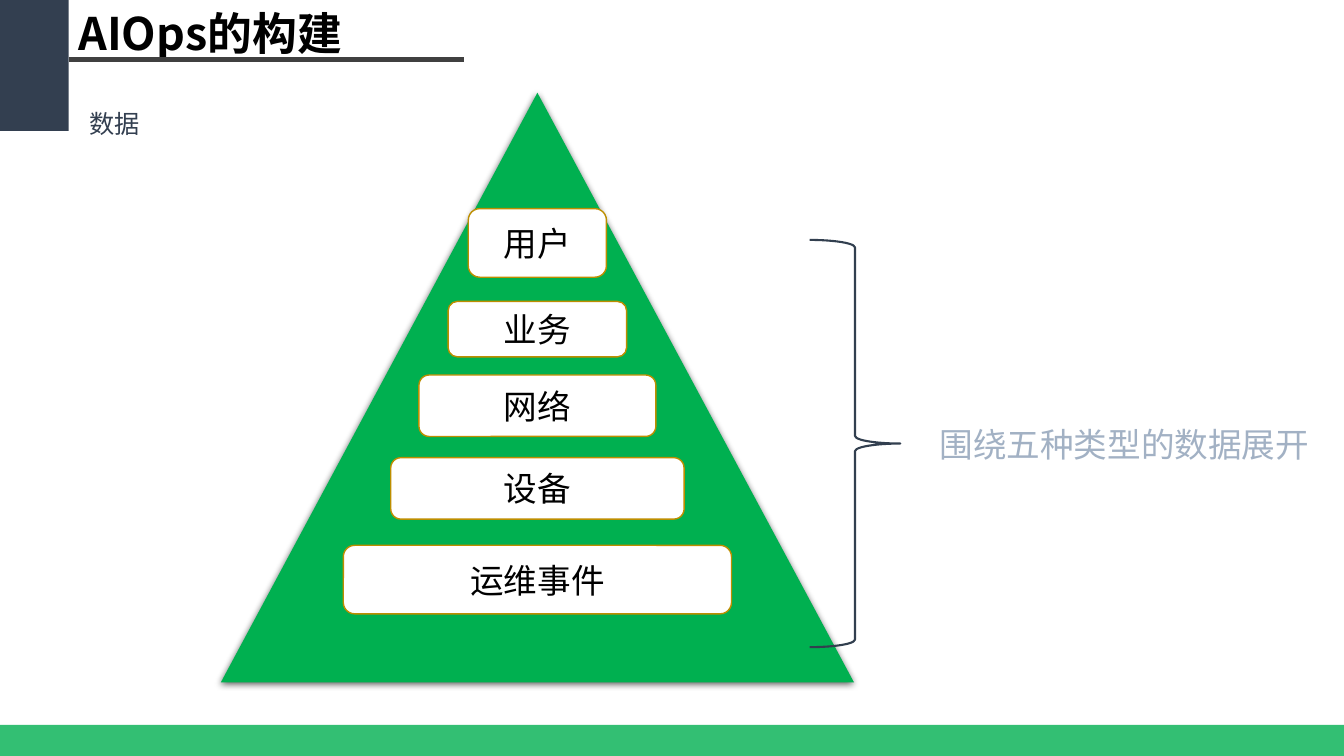
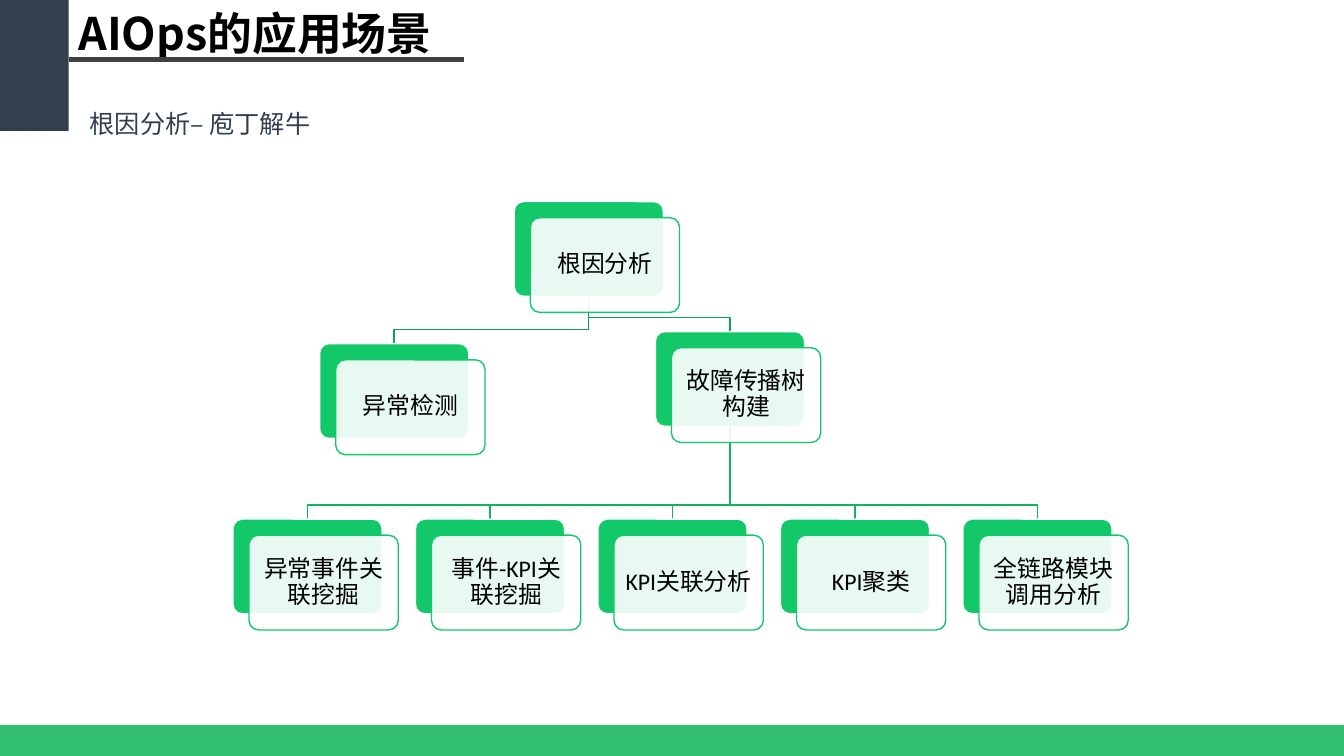
from lxml.etree import SubElement
from pptx import Presentation
from pptx.dml.color import RGBColor
from pptx.enum.shapes import MSO_CONNECTOR, MSO_SHAPE as SHAPE
from pptx.enum.text import MSO_ANCHOR as ANCHOR, PP_ALIGN as ALIGN
from pptx.oxml.ns import qn
from pptx.util import Inches, Pt

CJK, LATIN = "Noto Sans CJK SC", "Calibri"
BLACK, WHITE = "000000", "FFFFFF"
NAVY, SLATE, PALE_BLUE = "333F50", "323F4F", "A2B1C4"
GREEN, CARD_GREEN = "00B050", "12C869"
RULE_GRAY, GOLD = "404040", "BD8E00"
BRANCH_TOP, BRANCH_LEAF = "0EA054", "10B65F"

CARD_W, CARD_H, CARD_SHIFT = 1.48, 0.94, 0.16
BRANCH_DROP = 0.14


def rgb(color):
    return RGBColor.from_string(color)


def set_fill(sp, color, alpha=None):
    """Fill a shape; alpha is the opacity in percent."""
    if color is None:
        sp.fill.background()
        return
    sp.fill.solid()
    sp.fill.fore_color.rgb = rgb(color)
    if alpha is not None:
        clr = sp._element.spPr.find(qn("a:solidFill")).find(qn("a:srgbClr"))
        SubElement(clr, qn("a:alpha"), val=str(alpha * 1000))


def set_line(sp, color, width=1):
    if color is None:
        sp.line.fill.background()
        return
    sp.line.color.rgb = rgb(color)
    sp.line.width = Pt(width)


def add_shape(s, kind, x, y, w, h, fill=None, line=None, width=1, alpha=None):
    sp = s.shapes.add_shape(kind, Inches(x), Inches(y), Inches(w), Inches(h))
    sp.shadow.inherit = False
    set_fill(sp, fill, alpha)
    set_line(sp, line, width)
    return sp


def write(sp, text, size, color=BLACK, font=CJK, bold=False, align=ALIGN.LEFT):
    tf = sp.text_frame
    p = tf.paragraphs[0]
    p.text = text
    p.alignment = align
    p.font.size = Pt(size)
    p.font.bold = bold
    p.font.name = font
    p.font.color.rgb = rgb(color)
    SubElement(p._p.pPr.find(qn("a:defRPr")), qn("a:ea"), typeface=CJK)
    return p


def add_text(s, x, y, w, h, text, size, wrap=True, **style):
    sp = s.shapes.add_textbox(Inches(x), Inches(y), Inches(w), Inches(h))
    sp.text_frame.word_wrap = wrap
    write(sp, text, size, **style)


def add_drop_shadow(sp):
    effects = sp._element.spPr.find(qn("a:effectLst"))
    shadow = SubElement(effects, qn("a:outerShdw"), blurRad=str(Pt(4.5)),
                        dist=str(Pt(1.5)), dir="5400000", rotWithShape="0")
    clr = SubElement(shadow, qn("a:srgbClr"), val=BLACK)
    SubElement(clr, qn("a:alpha"), val="63000")


def add_rule(s, x1, x2, y):
    line = s.shapes.add_connector(MSO_CONNECTOR.STRAIGHT, Inches(x1), Inches(y),
                                  Inches(x2), Inches(y))
    set_line(line, RULE_GRAY, 3)
    SubElement(line._element.spPr, qn("a:effectLst"))


def add_base_slide(prs, title, subtitle):
    """Add a slide with the corner block, title, rule, footer band and subtitle."""
    s = prs.slides.add_slide(prs.slide_layouts[6])
    add_shape(s, SHAPE.RECTANGLE, 0, 0, 0.68, 1.3, NAVY)
    add_text(s, 0.68, 0.01, 3.92, 0.64, title, 32, bold=True)
    add_rule(s, 0.68, 4.6, 0.59)
    add_shape(s, SHAPE.RECTANGLE, 0, 7.19, 13.33, 0.31, GREEN, alpha=80)
    add_text(s, 0.79, 1.03, 4.31, 0.4, subtitle, 18, color=NAVY, font=LATIN)
    return s


def add_level(s, center, y, w, h, text):
    sp = add_shape(s, SHAPE.FLOWCHART_ALTERNATE_PROCESS, center - w / 2, y, w, h,
                   WHITE, GOLD)
    sp.text_frame.vertical_anchor = ANCHOR.MIDDLE
    write(sp, text, 24, align=ALIGN.CENTER)


def add_card(s, x, y, text):
    """Add a green card with a translucent labelled card shifted over it."""
    back = add_shape(s, SHAPE.ROUNDED_RECTANGLE, x, y, CARD_W, CARD_H,
                     CARD_GREEN, WHITE)
    front = add_shape(s, SHAPE.ROUNDED_RECTANGLE, x + CARD_SHIFT, y + CARD_SHIFT,
                      CARD_W, CARD_H, WHITE, CARD_GREEN, alpha=90)
    for sp in (back, front):
        sp.adjustments[0] = 0.1
    tf = front.text_frame
    tf.word_wrap = True
    tf.vertical_anchor = ANCHOR.MIDDLE
    tf.margin_left = tf.margin_right = Inches(0.07)
    tf.margin_top = tf.margin_bottom = Inches(0.07)
    p = write(front, text, 17, font=LATIN, align=ALIGN.CENTER)
    p.line_spacing = 0.9


def add_branch(s, parent, child, color):
    """Draw a bent line from the bottom of one card to the top of another."""
    x1, y1 = parent[0] + CARD_W / 2, parent[1] + CARD_H
    x2, y2 = child[0] + CARD_W / 2, child[1]
    bend = y2 - BRANCH_DROP
    points = [(x1, bend), (x2, bend), (x2, y2)]
    builder = s.shapes.build_freeform(Inches(x1), Inches(y1))
    builder.add_line_segments([(Inches(x), Inches(y)) for x, y in points],
                              close=False)
    sp = builder.convert_to_shape()
    sp.shadow.inherit = False
    set_fill(sp, None)
    set_line(sp, color)


def build_pyramid_slide(prs):
    s = add_base_slide(prs, "AIOps的构建", "数据")
    x, w = 2.19, 6.28
    pyramid = add_shape(s, SHAPE.ISOSCELES_TRIANGLE, x, 0.92, w, 5.85, GREEN)
    add_drop_shadow(pyramid)
    levels = [
        ("用户", 2.07, 1.37, 0.68),
        ("业务", 2.99, 1.77, 0.55),
        ("网络", 3.72, 2.35, 0.61),
        ("设备", 4.54, 2.91, 0.61),
        ("运维事件", 5.41, 3.85, 0.68),
    ]
    for text, y, level_w, h in levels:
        add_level(s, x + w / 2, y, level_w, h, text)
    brace = add_shape(s, SHAPE.LEFT_BRACE, 8.03, 2.38, 0.9, 4.04,
                      line=SLATE, width=1.5)
    brace.rotation = 180
    add_text(s, 9.22, 4.16, 3.9, 0.5, "围绕五种类型的数据展开", 24,
             wrap=False, color=PALE_BLUE)


def build_tree_slide(prs):
    s = add_base_slide(prs, "AIOps的应用场景", "根因分析– 庖丁解牛")
    root, detection, spread = (5.1, 2), (3.17, 3.41), (6.5, 3.29)
    leaf_texts = ["异常事件关联挖掘", "事件-KPI关联挖掘", "KPI关联分析",
                  "KPI聚类", "全链路模块调用分析"]
    leaves = [(2.31 + 1.81 * i, 5.15) for i in range(len(leaf_texts))]

    for leaf in leaves:
        add_branch(s, spread, leaf, BRANCH_LEAF)
    for child in (spread, detection):
        add_branch(s, root, child, BRANCH_TOP)

    cards = [(root, "根因分析"), (detection, "异常检测"),
             (spread, "故障传播树构建"), *zip(leaves, leaf_texts)]
    for (x, y), text in cards:
        add_card(s, x, y, text)


def main():
    prs = Presentation()
    prs.slide_width, prs.slide_height = Inches(13.33), Inches(7.5)
    build_pyramid_slide(prs)
    build_tree_slide(prs)
    prs.save("out.pptx")


if __name__ == "__main__":
    main()
